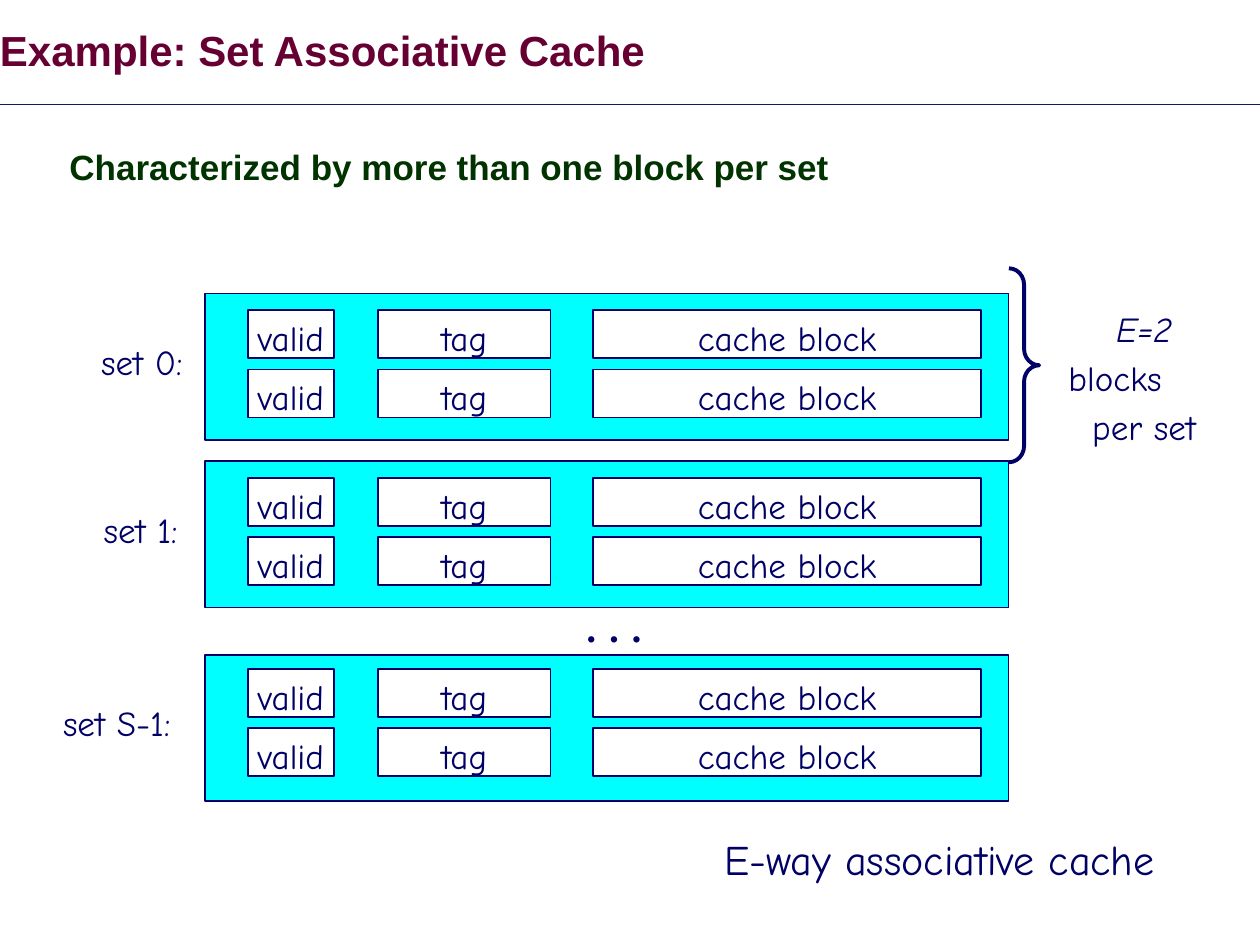
from pptx import Presentation
from pptx.dml.color import RGBColor as RGB
from pptx.enum.shapes import MSO_CONNECTOR as Link, MSO_SHAPE as Kind
from pptx.enum.text import MSO_ANCHOR as Anchor, PP_ALIGN as Align
from pptx.oxml.ns import qn
from pptx.util import Cm, Pt


class Theme:
    navy = RGB(0, 0, 0x66)
    cyan = RGB(0, 0xFF, 0xFF)
    white = RGB(0xFF, 0xFF, 0xFF)
    plum = RGB(0x66, 0, 0x33)
    green = RGB(0, 0x33, 0)
    rule = RGB(0, 0x20, 0x60)
    head, body = 24, 20
    sans, hand = "Arial", "Comic Neue"


def write(box, text, size=Theme.body, face=Theme.hand, color=Theme.navy,
          bold=False, align=Align.CENTER, anchor=Anchor.MIDDLE,
          wrap=False, space=1.16, pad=(0.25, 0.13)):
    frame = box.text_frame
    frame.word_wrap = wrap
    frame.vertical_anchor = anchor
    frame.margin_left = frame.margin_right = Cm(pad[0])
    frame.margin_top = frame.margin_bottom = Cm(pad[1])
    frame.text = text
    for para in frame.paragraphs:
        para.alignment = align
        para.line_spacing = space
        font = para.runs[0].font
        font.name, font.size, font.bold = face, Pt(size), bold
        font.color.rgb = color
    return frame


def block(kind, left, top, width, height, fill=None, line=1):
    box = shapes.add_shape(kind, Cm(left), Cm(top), Cm(width), Cm(height))
    box.shadow.inherit = False
    if fill is None:
        box.fill.background()
    else:
        box.fill.solid()
        box.fill.fore_color.rgb = fill
    box.line.color.rgb = Theme.navy
    box.line.width = Pt(line)
    return box


deck = Presentation()
deck.slide_width, deck.slide_height = Cm(25.4), Cm(19.05)
shapes = deck.slides.add_slide(deck.slide_layouts[6]).shapes

point = shapes.add_textbox(Cm(0.64), Cm(2.87), Cm(23.09), Cm(14.5))
frame = write(point, "Characterized by more than one block per set",
              face=Theme.sans, color=Theme.green, bold=True,
              align=Align.LEFT, anchor=Anchor.TOP, wrap=True, space=0.93)
props = frame.paragraphs[0]._p.get_or_add_pPr()
props.set("marL", str(Cm(0.89)))
props.set("indent", str(Cm(-0.38)))

title = shapes.add_textbox(0, 0, Cm(23.57), Cm(2.18))
write(title, "Example: Set Associative Cache", size=Theme.head,
      face=Theme.sans, color=Theme.plum, bold=True, align=Align.LEFT,
      wrap=True, space=0.85, pad=(0, 0))

note = shapes.add_textbox(Cm(21.16), Cm(5.94), Cm(3.81), Cm(3.2))
frame = write(note, "E=2\nblocks\nper set", wrap=True)
frame.paragraphs[0].runs[0].font.italic = True
blocks = frame.paragraphs[1]
blocks.alignment = Align.LEFT
blocks._p.get_or_add_pPr().set("marL", str(Cm(0.13)))

sets = [("set 0:", 5.92, 0.33, 1.78, 2.16),
        ("set 1:", 9.3, 0.33, 1.83, 2.01),
        ("set S-1:", 13.2, 0.28, 1.02, 2.67)]
fields = [("valid", 5, 1.73), ("tag", 7.62, 3.48),
          ("cache block", 11.96, 7.82)]
for name, top, inset, left, width in sets:
    block(Kind.RECTANGLE, 4.13, top, 16.2, 2.95, Theme.cyan)
    label = shapes.add_textbox(Cm(left), Cm(top + 0.68), Cm(width), Cm(1.24))
    write(label, name)
    for row in range(2):
        for word, start, span in fields:
            cell = block(Kind.RECTANGLE, start, top + inset + 1.2 * row,
                         span, 0.97, Theme.white)
            write(cell, word)

dots = shapes.add_textbox(Cm(11.07), Cm(12.24), Cm(2.62), Cm(0.97))
write(dots, "• • •")

brace = block(Kind.RIGHT_BRACE, 20.34, 5.41, 0.61, 3.91, line=2.25)
brace.adjustments[0] = 0.54

foot = shapes.add_textbox(Cm(14.33), Cm(16.92), Cm(9.22), Cm(1.02))
write(foot, "E-way associative cache", size=Theme.head,
      anchor=Anchor.TOP, space=0.75)

rule = shapes.add_connector(Link.STRAIGHT, 0, Cm(2.11), Cm(25.4), Cm(2.11))
rule.line.color.rgb = Theme.rule
rule.line.width = Pt(0.75)
rule._element.spPr.append(rule._element.makeelement(qn("a:effectLst"), {}))

deck.save("out.pptx")
